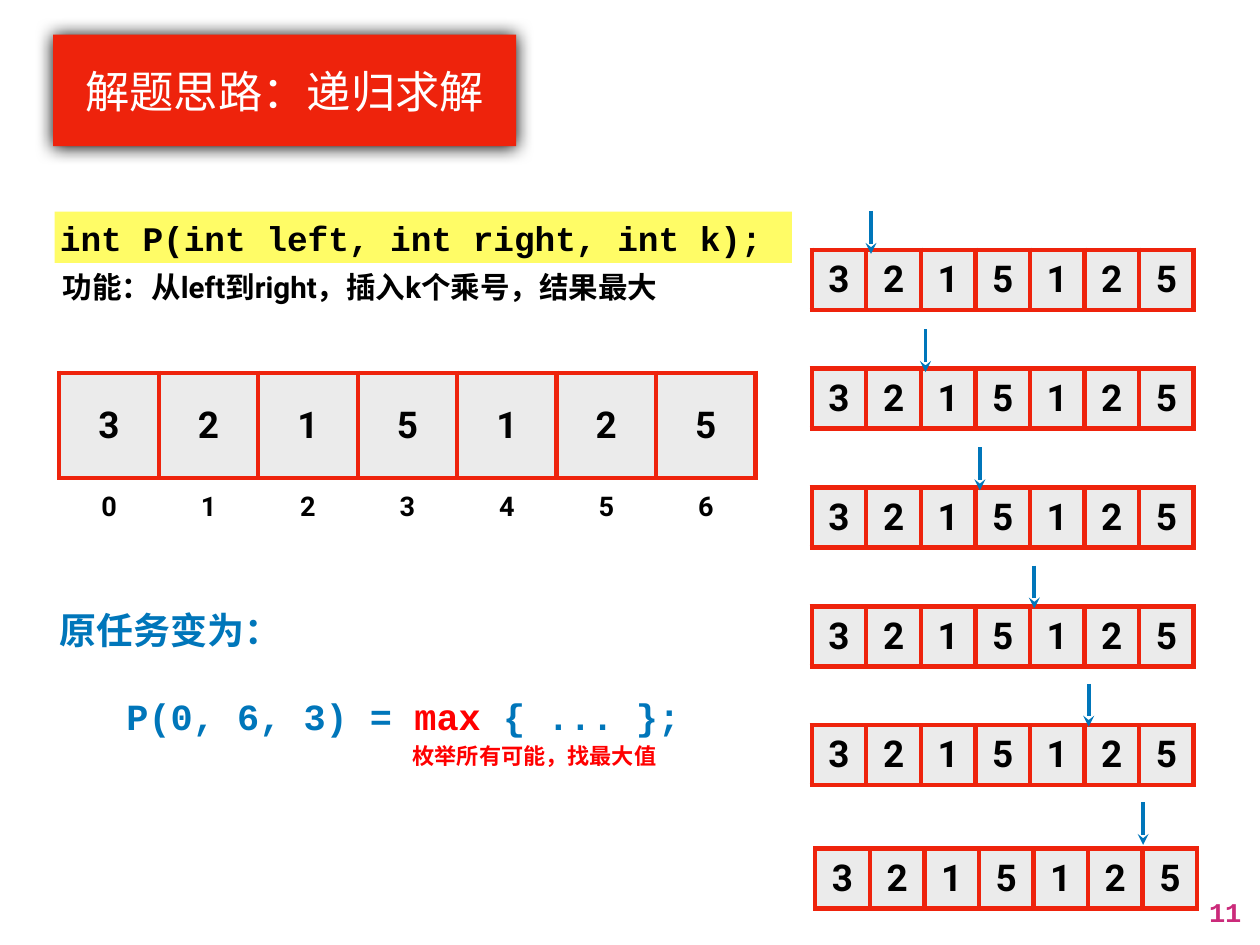
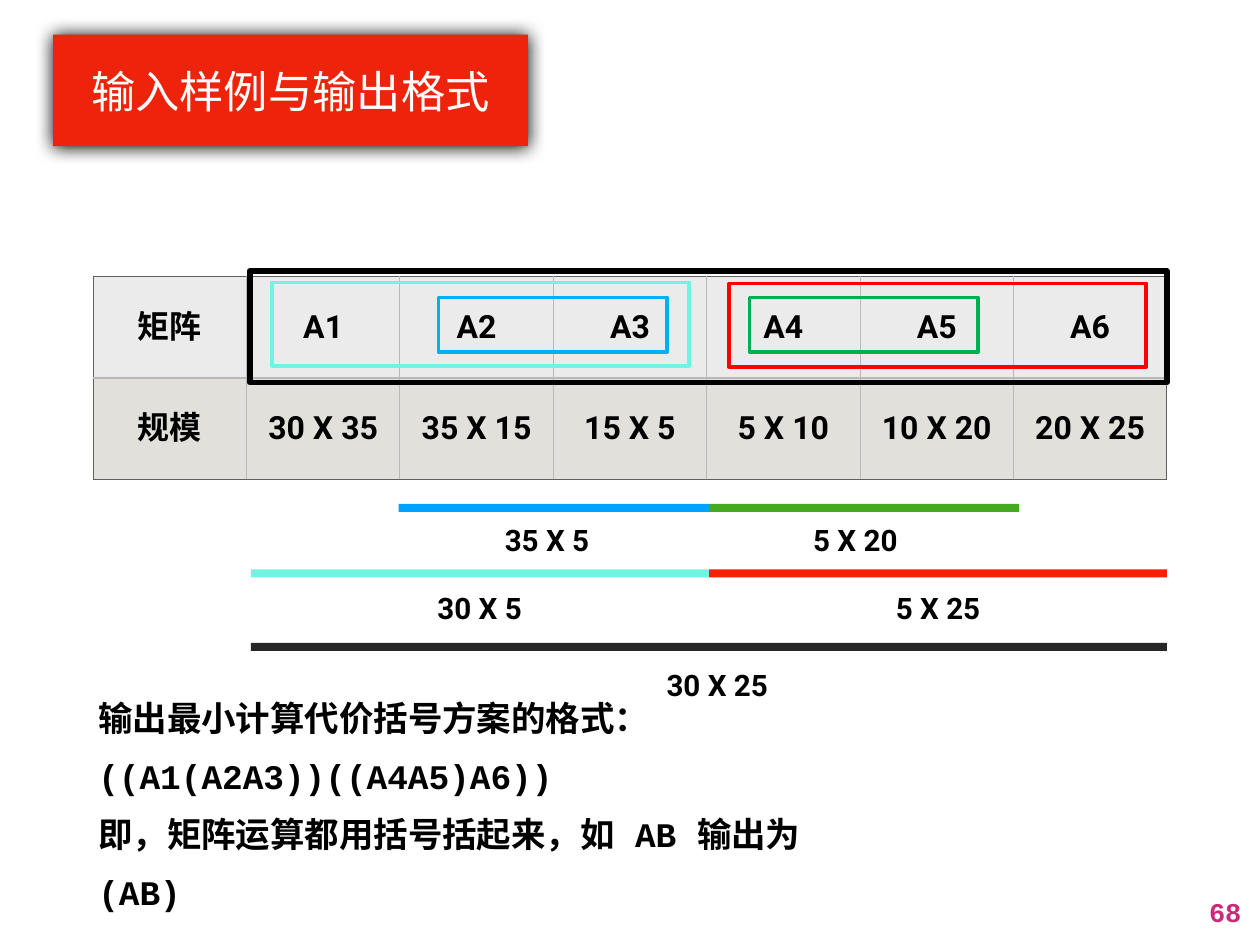
from dataclasses import dataclass
from lxml.etree import SubElement as Sub
from pptx import Presentation
from pptx.dml.color import RGBColor as Rgb
from pptx.enum.shapes import MSO_CONNECTOR as Link, MSO_SHAPE as Form
from pptx.enum.text import MSO_ANCHOR as Anchor, MSO_AUTO_SIZE as Auto, PP_ALIGN as Align
from pptx.oxml.ns import qn
from pptx.util import Cm, Pt


@dataclass(frozen=True)
class Theme:
    sans: str = "Roboto"
    mono: str = "Courier New"
    black: str = "000000"
    white: str = "FFFFFF"
    red: str = "EE230C"
    alert: str = "FF0000"
    blue: str = "0076BA"
    pink: str = "CB2A7A"
    yellow: str = "FFFC66"
    cell: str = "EBEBEB"
    stone: str = "E1E0DA"
    rim: str = "606060"
    rule: str = "B8B8B8"
    teal: str = "72F2E3"
    sky: str = "00A2FF"
    azure: str = "00B0F0"
    leaf: str = "45AA21"
    green: str = "00B050"
    flame: str = "FA1F00"
    coal: str = "262626"
    head: int = 36
    big: int = 30
    code: int = 28
    mid: int = 26
    body: int = 24
    small: int = 22
    note: int = 18


LOOK = Theme()


def hue(ink):
    return Rgb.from_string(ink)


class Deck:
    def __init__(self, look):
        self.look = look
        self.show = Presentation()
        self.show.slide_width = Cm(36.12)
        self.show.slide_height = Cm(27.1)

    def page(self, title, width, number):
        look = self.look
        self.slide = self.show.slides.add_slide(self.show.slide_layouts[5])
        head = self.slide.shapes.title
        head.left, head.top, head.width, head.height = Cm(1.52), Cm(0.99), Cm(width), Cm(3.2)
        head.fill.solid()
        head.fill.fore_color.rgb = hue(look.red)
        self.fit(head.text_frame, title, look.head, look.white, bold=False, align=Align.CENTER)
        glow = Sub(Sub(head._element.spPr, qn("a:effectLst")), qn("a:outerShdw"),
                   blurRad=str(Pt(15)), dist=str(Pt(0.7)), dir="5400000", rotWithShape="0")
        Sub(glow, qn("a:srgbClr"), val=look.black)
        self.text((34.42, 25.5, 1.32, 1.27), number, look.small, look.pink, look.mono,
                  align=Align.RIGHT, wrap=False)

    def style(self, run, size, ink, face, bold=True):
        font = run.font
        font.name, font.size, font.bold = face, Pt(size), bold
        font.color.rgb = hue(ink)
        Sub(font._element, qn("a:ea"), typeface=face)

    def fit(self, frame, text, size, ink=LOOK.black, face=LOOK.sans, bold=True,
            align=Align.LEFT, wrap=True):
        frame.text = text
        frame.word_wrap = wrap
        frame.auto_size = Auto.NONE
        frame.vertical_anchor = Anchor.MIDDLE
        frame.margin_left = frame.margin_right = Cm(0.15)
        frame.margin_top = frame.margin_bottom = Cm(0.15)
        for line in frame.paragraphs:
            line.alignment = align
            for run in line.runs:
                self.style(run, size, ink, face, bold)

    def text(self, box, *words, **style):
        frame = self.slide.shapes.add_textbox(*map(Cm, box)).text_frame
        self.fit(frame, *words, **style)
        return frame

    def block(self, box, fill=None, line=None, width=3):
        shape = self.slide.shapes.add_shape(Form.RECTANGLE, *map(Cm, box))
        shape.shadow.inherit = False
        if fill:
            shape.fill.solid()
            shape.fill.fore_color.rgb = hue(fill)
        else:
            shape.fill.background()
        if line:
            shape.line.color.rgb = hue(line)
            shape.line.width = Pt(width)
        else:
            shape.line.fill.background()
        return shape

    def arrow(self, x, top, end):
        link = self.slide.shapes.add_connector(Link.STRAIGHT, Cm(x), Cm(top), Cm(x), Cm(end))
        link.line.color.rgb = hue(self.look.blue)
        link.line.width = Pt(3)
        Sub(link._element.spPr.find(qn("a:ln")), qn("a:tailEnd"), type="stealth")
        Sub(link._element.spPr, qn("a:effectLst"))

    def edge(self, cell, side, ink, width):
        line = Sub(cell._tc.get_or_add_tcPr(), qn("a:ln" + side), w=str(Pt(width)))
        if ink:
            Sub(Sub(line, qn("a:solidFill")), qn("a:srgbClr"), val=ink)
        else:
            Sub(line, qn("a:noFill"))

    def grid(self, x, y, width, rows, outer, inner, line):
        count = len(rows[0][0])
        total = sum(row[1] for row in rows)
        table = self.slide.shapes.add_table(
            len(rows), count, Cm(x), Cm(y), Cm(width), Cm(total)).table
        table.first_row = table.horz_banding = False
        for col in table.columns:
            col.width = Cm(width / count)
        for r, (words, tall, size, fill) in enumerate(rows):
            table.rows[r].height = Cm(tall)
            for c, word in enumerate(words):
                cell = table.cell(r, c)
                rims = {"L": c == 0, "R": c == count - 1, "T": r == 0, "B": r == len(rows) - 1}
                for side, rim in rims.items():
                    ink = outer if rim else inner
                    self.edge(cell, side, ink if fill or side == "T" else None, line)
                if fill:
                    cell.fill.solid()
                    cell.fill.fore_color.rgb = hue(fill)
                else:
                    cell.fill.background()
                frame = cell.text_frame
                frame.text = word
                frame.paragraphs[0].alignment = Align.CENTER
                self.style(frame.paragraphs[0].runs[0], size, self.look.black, self.look.sans)
                cell.vertical_anchor = Anchor.MIDDLE
                cell.margin_left = cell.margin_right = Cm(0.15)
                cell.margin_top = cell.margin_bottom = Cm(0.15)


def solve(deck):
    look = deck.look
    deck.page("解题思路：递归求解", 13.28, "11")
    digits = "3215125"
    deck.grid(1.7, 10.69, 19.96, [(digits, 3.02, look.big, look.cell),
                                  ("0123456", 1.7, look.small, None)], look.red, look.red, 4)
    task = deck.text((1.57, 17.22, 18.54, 4.14), "原任务变为：\n   P(0, 6, 3) = ",
                     look.big, look.blue, look.mono)
    call = task.paragraphs[1]
    call.space_before = Pt(34)
    for word, ink in (("max", look.alert), (" { ... };", look.blue)):
        run = call.add_run()
        run.text = word
        deck.style(run, look.big, ink, look.mono)
    sign = deck.block((1.57, 6.07, 21.13, 1.47), look.yellow)
    deck.fit(sign.text_frame, "int P(int left, int right, int k);", look.code, face=look.mono)
    deck.text((1.65, 7.57, 17.55, 1.32), "功能：从left到right，插入k个乘号，结果最大", look.body)
    spots = [(23.27, 7.16 + 3.41 * i) for i in range(5)] + [(23.37, 24.33)]
    for i, (x, y) in enumerate(spots):
        deck.grid(x, y, 10.95, [(digits, 1.72, look.big, look.cell)], look.red, look.red, 4)
        top = 6.05 + 3.39 * i
        deck.arrow(24.97 + 1.56 * i, top, top + 1.23)
    deck.text((11.68, 21.13, 7.34, 1.07), "枚举所有可能，找最大值", look.note, look.alert, wrap=False)


def sample(deck):
    look = deck.look
    deck.page("输入样例与输出格式", 13.61, "68")
    names = ["矩阵"] + [f"A{i}" for i in range(1, 7)]
    dims = [30, 35, 15, 5, 10, 20, 25]
    sizes = ["规模"] + [f"{a} X {b}" for a, b in zip(dims, dims[1:])]
    deck.grid(2.67, 7.92, 30.78, [(names, 2.92, look.mid, look.cell),
                                  (sizes, 2.92, look.mid, look.stone)], look.rim, look.rule, 1)
    answer = deck.text(
        (2.67, 20.27, 21.87, 5.16),
        "输出最小计算代价括号方案的格式：\n((A1(A2A3))((A4A5)A6))\n"
        "即，矩阵运算都用括号括起来，如 AB 输出为 (AB)", look.code, face=look.mono)
    for line in answer.paragraphs:
        line.line_spacing = 1.4
    bars = [
        (11.43, 14.45, 8.89, look.sky, "35 X 5", 15.68, 14.81),
        (20.32, 14.45, 8.89, look.leaf, "5 X 20", 24.52, 14.81),
        (20.32, 16.33, 13.13, look.flame, "5 X 25", 26.89, 16.76),
        (7.19, 16.33, 13.13, look.teal, "30 X 5", 13.75, 16.76),
        (7.19, 18.44, 26.26, look.coal, "30 X 25", 20.56, 18.97),
    ]
    for x, y, width, ink, word, mid, top in bars:
        deck.block((x, y, width, 0.23), ink)
        deck.text((mid - 1.75, top, 3.5, 1.32), word, look.body, align=Align.CENTER)
    pair, trio = (6.55, 1.57), (11.96, 2.39)
    frames = [
        ((12.57, 8.53, *pair), look.azure, 3),
        ((7.8, 8.1, *trio), look.teal, 3),
        ((21.49, 8.53, *pair), look.green, 3),
        ((20.9, 8.13, *trio), look.alert, 3),
        ((7.16, 7.77, 26.29, 3.2), look.black, 4.5),
    ]
    for box, ink, width in frames:
        deck.block(box, line=ink, width=width)


def main():
    deck = Deck(LOOK)
    solve(deck)
    sample(deck)
    deck.show.save("out.pptx")


if __name__ == "__main__":
    main()
